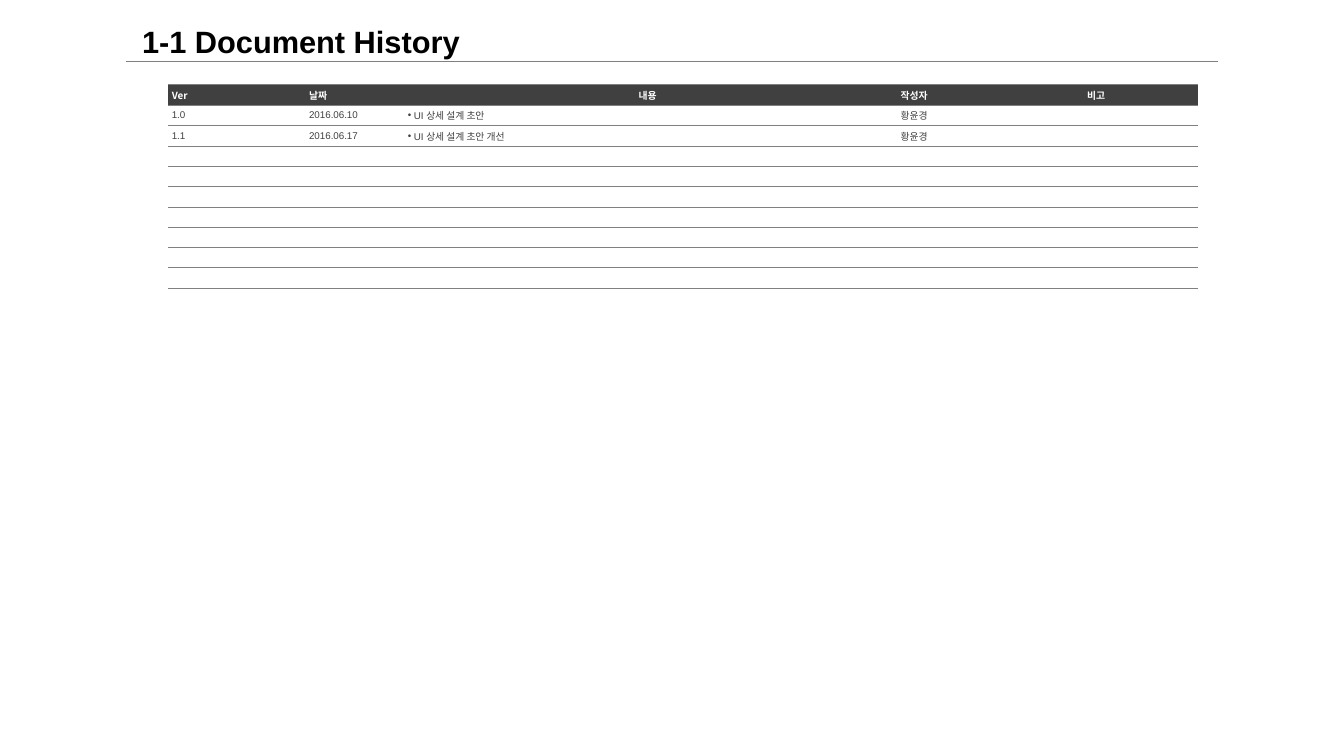
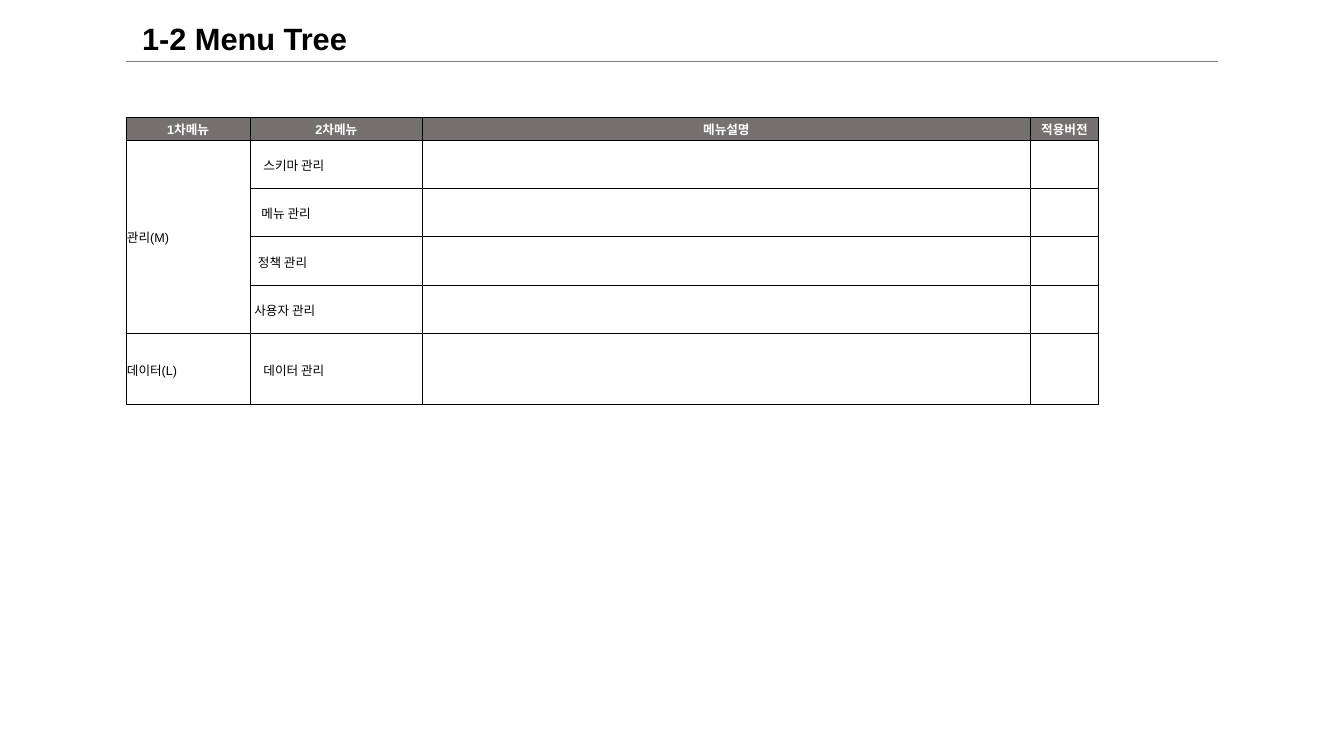
from dataclasses import dataclass

from lxml.etree import SubElement
from pptx import Presentation
from pptx.dml.color import RGBColor
from pptx.enum.shapes import MSO_CONNECTOR
from pptx.enum.text import MSO_ANCHOR, MSO_AUTO_SIZE, PP_ALIGN
from pptx.oxml.ns import qn
from pptx.util import Cm, Pt


# Theme: colours, fonts and type sizes
@dataclass(frozen=True)
class Theme:
    black: str = "000000"
    white: str = "FFFFFF"
    dark: str = "404040"
    rule: str = "808080"
    warm: str = "767171"
    latin: str = "Arial"
    asian: str = "Noto Sans CJK KR"
    title: float = 22
    menu: float = 9
    log: float = 7


THEME = Theme()
NO_GRID = "{2D5ABB26-0587-4C30-8999-92F81FD0307C}"


@dataclass(frozen=True)
class Item:
    text: str = ""
    indent: float = 0
    bullet: bool = False


@dataclass(frozen=True)
class Head:
    text: str
    width: float
    center: bool = True


@dataclass(frozen=True)
class Grid:
    """Place, look and content of one table; lengths in cm."""
    left: float
    top: float
    heads: list[Head]
    rows: list[list[Item]]
    heights: list[float]
    merges: list[tuple[int, int, int, int]]
    size: float
    font: str
    fill: str
    ink: str
    line: str
    weight: float
    sides: tuple[str, ...]
    insets: tuple[float, float, float, float]


# Text
def style(para, size: float, color: str, bold: bool, font: str) -> None:
    for run in para.runs:
        run.font.size = Pt(size)
        run.font.bold = bold
        run.font.name = font
        run.font.color.rgb = RGBColor.from_string(color)
        SubElement(run.font._element, qn("a:ea"), typeface=THEME.asian)
    if not para.runs:
        SubElement(para._p, qn("a:endParaRPr"), sz=str(int(size * 100)))


def shift(para, item: Item) -> None:
    props = para._p.get_or_add_pPr()
    props.set("marL", str(Cm(item.indent)))
    if item.bullet:
        props.set("indent", str(-Cm(item.indent)))
        SubElement(props, qn("a:buFont"), typeface=THEME.latin)
        SubElement(props, qn("a:buChar"), char="•")


# Slide with title and rule
def add_page(deck, text: str, top: float, width: float):
    slide = deck.slides.add_slide(deck.slide_layouts[5])
    title = slide.shapes.title
    title.left, title.top = Cm(3.33), Cm(top)
    title.width, title.height = Cm(width), Cm(1.42)
    frame = title.text_frame
    frame.text = text
    frame.word_wrap = False
    frame.auto_size = MSO_AUTO_SIZE.NONE
    frame.vertical_anchor = MSO_ANCHOR.TOP
    frame.margin_left = frame.margin_right = Cm(0.25)
    frame.margin_top = frame.margin_bottom = 0
    para = frame.paragraphs[0]
    para.alignment = PP_ALIGN.LEFT
    para.line_spacing = 1.5
    style(para, THEME.title, THEME.black, True, THEME.latin)

    rule = slide.shapes.add_connector(
        MSO_CONNECTOR.STRAIGHT, Cm(3.18), Cm(1.55), Cm(30.69), Cm(1.55))
    rule.line.color.rgb = RGBColor.from_string(THEME.rule)
    rule.line.width = Pt(0.5)
    SubElement(rule._element.spPr, qn("a:effectLst"))
    return slide


# Tables
def edge(cell, grid: Grid) -> None:
    props = cell._tc.get_or_add_tcPr()
    for side in "LRTB":
        if side not in grid.sides:
            SubElement(SubElement(props, qn(f"a:ln{side}"), w="0"),
                       qn("a:noFill"))
            continue
        line = SubElement(props, qn(f"a:ln{side}"), w=str(Pt(grid.weight)))
        fill = SubElement(line, qn("a:solidFill"))
        SubElement(fill, qn("a:srgbClr"), val=grid.line)


def fill_cell(cell, item: Item, grid: Grid, head: bool, center: bool) -> None:
    (cell.margin_left, cell.margin_top, cell.margin_right,
     cell.margin_bottom) = map(Cm, grid.insets)
    cell.vertical_anchor = MSO_ANCHOR.MIDDLE
    edge(cell, grid)
    if head:
        cell.fill.solid()
        cell.fill.fore_color.rgb = RGBColor.from_string(grid.fill)
    else:
        cell.fill.background()
    cell.text_frame.text = item.text
    para = cell.text_frame.paragraphs[0]
    para.alignment = PP_ALIGN.CENTER if center else PP_ALIGN.LEFT
    shift(para, item)
    style(para, grid.size, THEME.white if head else grid.ink, head,
          grid.font if head else THEME.latin)


def add_grid(slide, grid: Grid) -> None:
    width = sum(head.width for head in grid.heads)
    table = slide.shapes.add_table(
        len(grid.heights), len(grid.heads), Cm(grid.left), Cm(grid.top),
        Cm(width), Cm(sum(grid.heights))).table
    table.horz_banding = False
    table._tbl.tblPr.find(qn("a:tableStyleId")).text = NO_GRID
    for col, head in zip(table.columns, grid.heads):
        col.width = Cm(head.width)
    for row, height in zip(table.rows, grid.heights):
        row.height = Cm(height)

    top = [Item(head.text) for head in grid.heads]
    for r, items in enumerate([top, *grid.rows]):
        for c, head in enumerate(grid.heads):
            item = items[c] if c < len(items) else Item()
            fill_cell(table.cell(r, c), item, grid, r == 0,
                      r == 0 and head.center)
    for r1, c1, r2, c2 in grid.merges:
        table.cell(r1, c1).merge(table.cell(r2, c2))


# Content
def log_row(ver: str, date: str, note: str) -> list[Item]:
    return [Item(ver), Item(), Item(date), Item(note, 0.15, True),
            Item("황윤경")]


LOG = Grid(
    left=4.24, top=2.13,
    heads=[Head("Ver", 1.4, False), Head("", 2.06), Head("날짜", 2.49, False),
           Head("내용", 12.42), Head("작성자", 2.62, False),
           Head("비고", 4.95)],
    rows=[log_row("1.0", "2016.06.10", "UI 상세 설계 초안"),
          log_row("1.1", "2016.06.17", "UI 상세 설계 초안 개선"),
          *[[] for _ in range(7)]],
    heights=[0.51] * 10, merges=[(0, 0, 0, 1)],
    size=THEME.log, font=THEME.asian, fill=THEME.dark, ink=THEME.dark,
    line=THEME.rule, weight=0.25, sides=("T", "B"),
    insets=(0.09, 0.08, 0.25, 0.08))

MENU = Grid(
    left=3.18, top=2.97,
    heads=[Head("1차메뉴", 3.12), Head("2차메뉴", 4.35),
           Head("메뉴설명", 15.31), Head("적용버전", 1.73)],
    rows=[[Item("관리(M)"), Item("스키마 관리", 0.32)],
          [Item(), Item("메뉴 관리", 0.27)],
          [Item(), Item("정책 관리", 0.18)],
          [Item(), Item("사용자 관리", 0.09)],
          [Item("데이터(L)"), Item("데이터 관리", 0.32)]],
    heights=[0.56, *[1.22] * 4, 1.79], merges=[(1, 0, 4, 0)],
    size=THEME.menu, font=THEME.latin, fill=THEME.warm, ink=THEME.black,
    line=THEME.black, weight=0.75, sides=("L", "R", "T", "B"),
    insets=(0.02, 0.02, 0.02, 0))


def main() -> None:
    deck = Presentation()
    deck.slide_width, deck.slide_height = Cm(33.87), Cm(19.05)
    add_grid(add_page(deck, "1-1 Document History", 0.1, 8.89), LOG)
    add_grid(add_page(deck, "1-2 Menu Tree", 0.03, 5.99), MENU)
    deck.save("out.pptx")


if __name__ == "__main__":
    main()
